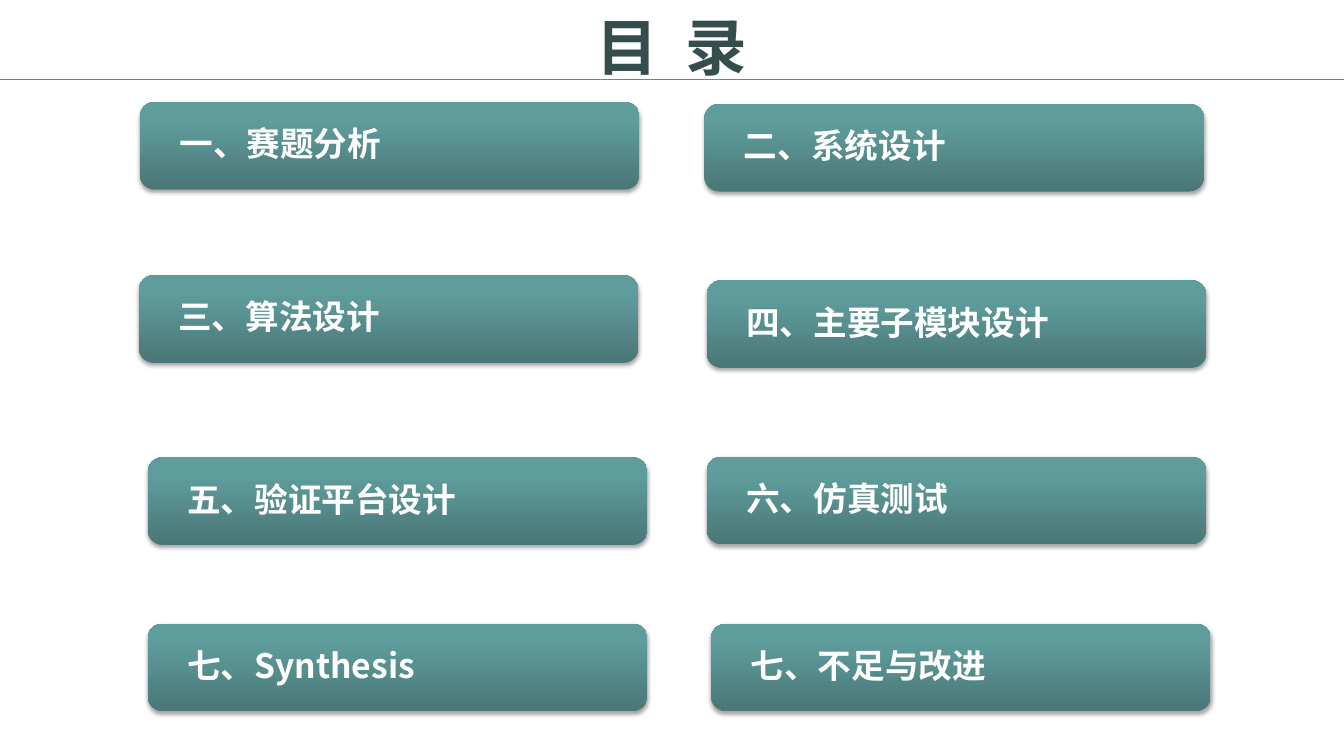
from dataclasses import dataclass

from lxml.etree import SubElement
from pptx import Presentation
from pptx.dml.color import RGBColor
from pptx.enum.shapes import MSO_CONNECTOR, MSO_SHAPE
from pptx.enum.text import MSO_ANCHOR, PP_ALIGN
from pptx.oxml.ns import qn
from pptx.shapes.base import BaseShape
from pptx.slide import Slide
from pptx.util import Inches, Pt

WIDE, HIGH = Inches(13.33), Inches(7.5)
COLS, ROWS = 12, 12
FACE = "Noto Sans CJK SC"
HUES = {
    "title": "354D4D",
    "rule": "669933",
    "text": "FFFFFF",
    "dark": "4A7777",
    "mid": "5F9C9C",
    "light": "5F9D9D",
    "shade": "000000",
}
STOPS = {"dark": 0, "mid": 80, "light": 100}
FONTS = {
    "title": {"name": FACE, "size": Pt(44), "bold": True},
    "text": {"name": FACE, "size": Pt(24), "bold": True},
}
FRAMES = {
    "title": {"word_wrap": True, "vertical_anchor": MSO_ANCHOR.MIDDLE},
    "text": {
        "word_wrap": True,
        "vertical_anchor": MSO_ANCHOR.MIDDLE,
        "margin_left": Inches(0.35),
        "margin_right": Inches(0.29),
        "margin_top": Inches(0.06),
        "margin_bottom": Inches(0.06),
    },
}
PARAS = {
    "title": {"alignment": PP_ALIGN.CENTER},
    "text": {"alignment": PP_ALIGN.LEFT, "line_spacing": 0.9},
}


@dataclass(frozen=True)
class Entry:
    text: str
    col: float
    row: float
    wide: float = 4.46
    high: float = 1.39


TITLE = Entry("目  录", 1.95, 0.02, 8.1, 1.41)
RULE = 1.26
TOPICS = [
    Entry("一、赛题分析", 1.25, 1.62),
    Entry("二、系统设计", 6.29, 1.65),
    Entry("三、算法设计", 1.24, 4.37),
    Entry("四、主要子模块设计", 6.31, 4.45),
    Entry("五、验证平台设计", 1.32, 7.26),
    Entry("六、仿真测试", 6.31, 7.25),
    Entry("七、Synthesis", 1.32, 9.9),
    Entry("七、不足与改进", 6.35, 9.9),
]


def across(cols: float) -> int:
    return round(WIDE * cols / COLS)


def down(rows: float) -> int:
    return round(HIGH * rows / ROWS)


def place(entry: Entry) -> tuple[int, int, int, int]:
    return across(entry.col), down(entry.row), across(entry.wide), down(entry.high)


def apply(target: object, values: dict) -> None:
    for key, value in values.items():
        setattr(target, key, value)


def write(shape: BaseShape, text: str, role: str) -> None:
    frame = shape.text_frame
    apply(frame, FRAMES[role])
    para = frame.paragraphs[0]
    apply(para, PARAS[role])
    run = para.add_run()
    run.text = text
    apply(run.font, FONTS[role])
    run.font.color.rgb = RGBColor.from_string(HUES[role])
    SubElement(run._r.get_or_add_rPr(), qn("a:ea"), typeface=FACE)


def tint(shape: BaseShape) -> None:
    shape.fill.gradient()
    shape.fill.gradient_angle = 90
    stops = shape._element.spPr.find(qn("a:gradFill")).find(qn("a:gsLst"))
    for stop in list(stops):
        stops.remove(stop)
    for hue, share in STOPS.items():
        stop = SubElement(stops, qn("a:gs"), pos=str(share * 1000))
        SubElement(stop, qn("a:srgbClr"), val=HUES[hue])


def shade(shape: BaseShape) -> None:
    shape.shadow.inherit = False
    effects = shape._element.spPr.find(qn("a:effectLst"))
    outer = SubElement(
        effects,
        qn("a:outerShdw"),
        blurRad=str(Pt(3.1)),
        dist=str(Pt(1.8)),
        dir="5400000",
        rotWithShape="0",
    )
    hue = SubElement(outer, qn("a:srgbClr"), val=HUES["shade"])
    SubElement(hue, qn("a:alpha"), val="35000")


def draw_topic(slide: Slide, entry: Entry) -> None:
    shape = slide.shapes.add_shape(MSO_SHAPE.ROUNDED_RECTANGLE, *place(entry))
    shape.adjustments[0] = 0.167
    tint(shape)
    shape.line.fill.background()
    shade(shape)
    write(shape, entry.text, "text")


def draw_rule(slide: Slide) -> None:
    line = slide.shapes.add_connector(
        MSO_CONNECTOR.STRAIGHT, 0, down(RULE), WIDE, down(RULE)
    )
    line.line.color.rgb = RGBColor.from_string(HUES["rule"])
    line.line.width = Pt(1)
    SubElement(line._element.spPr, qn("a:effectLst"))


def main() -> None:
    deck = Presentation()
    apply(deck, {"slide_width": WIDE, "slide_height": HIGH})
    slide = deck.slides.add_slide(deck.slide_layouts[6])
    write(slide.shapes.add_textbox(*place(TITLE)), TITLE.text, "title")
    draw_rule(slide)
    for entry in TOPICS:
        draw_topic(slide, entry)
    deck.save("out.pptx")


if __name__ == "__main__":
    main()
